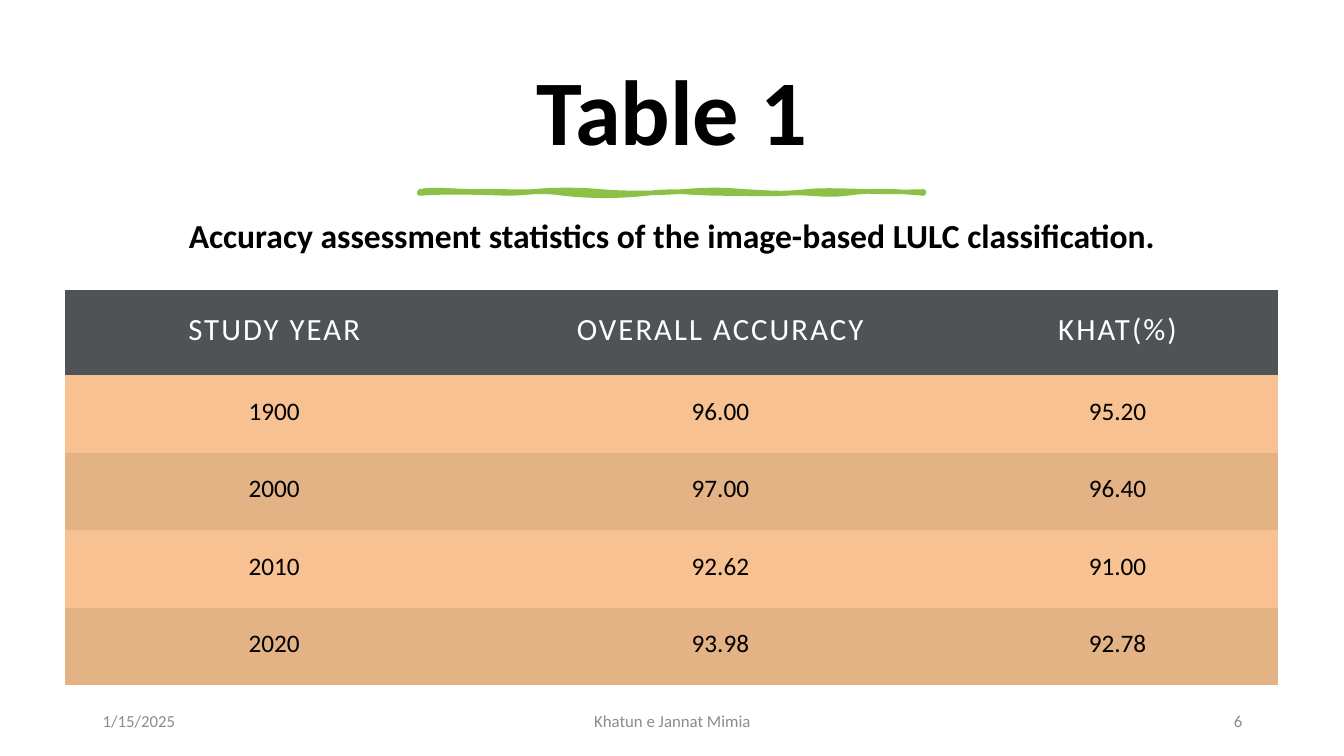
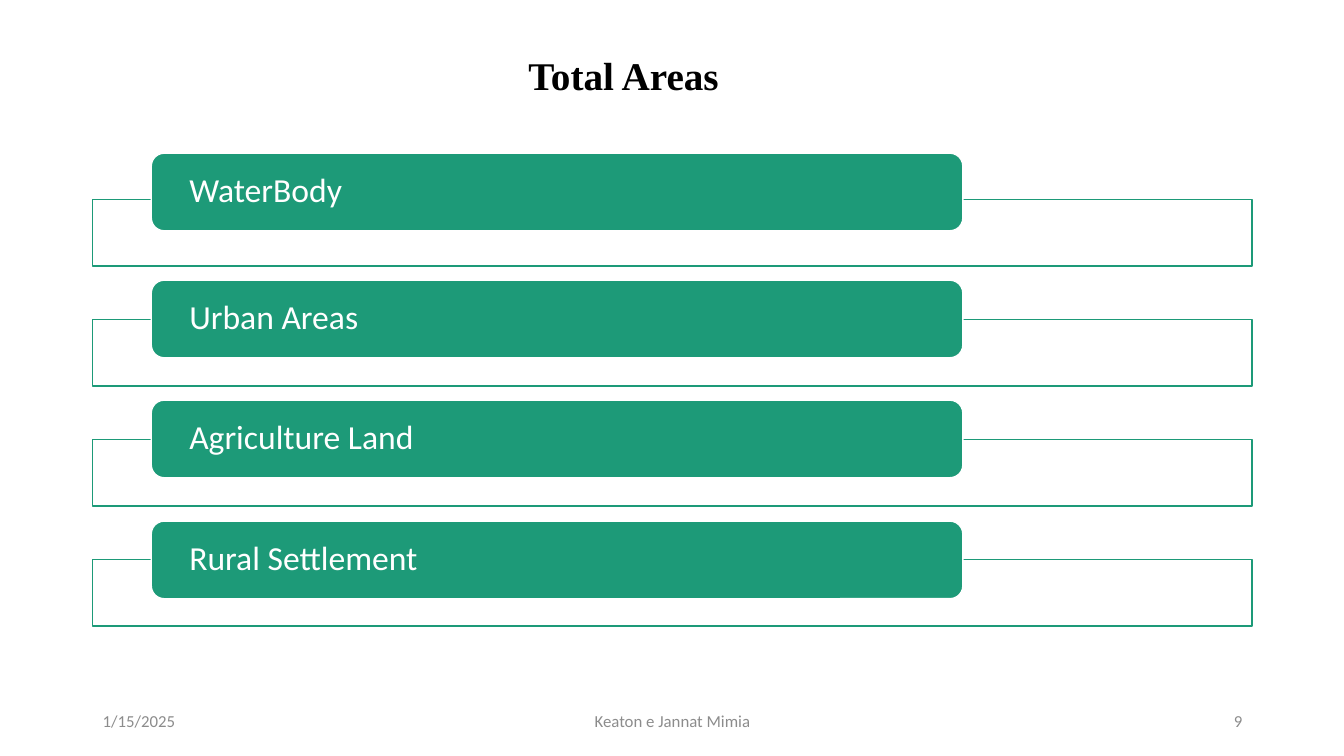
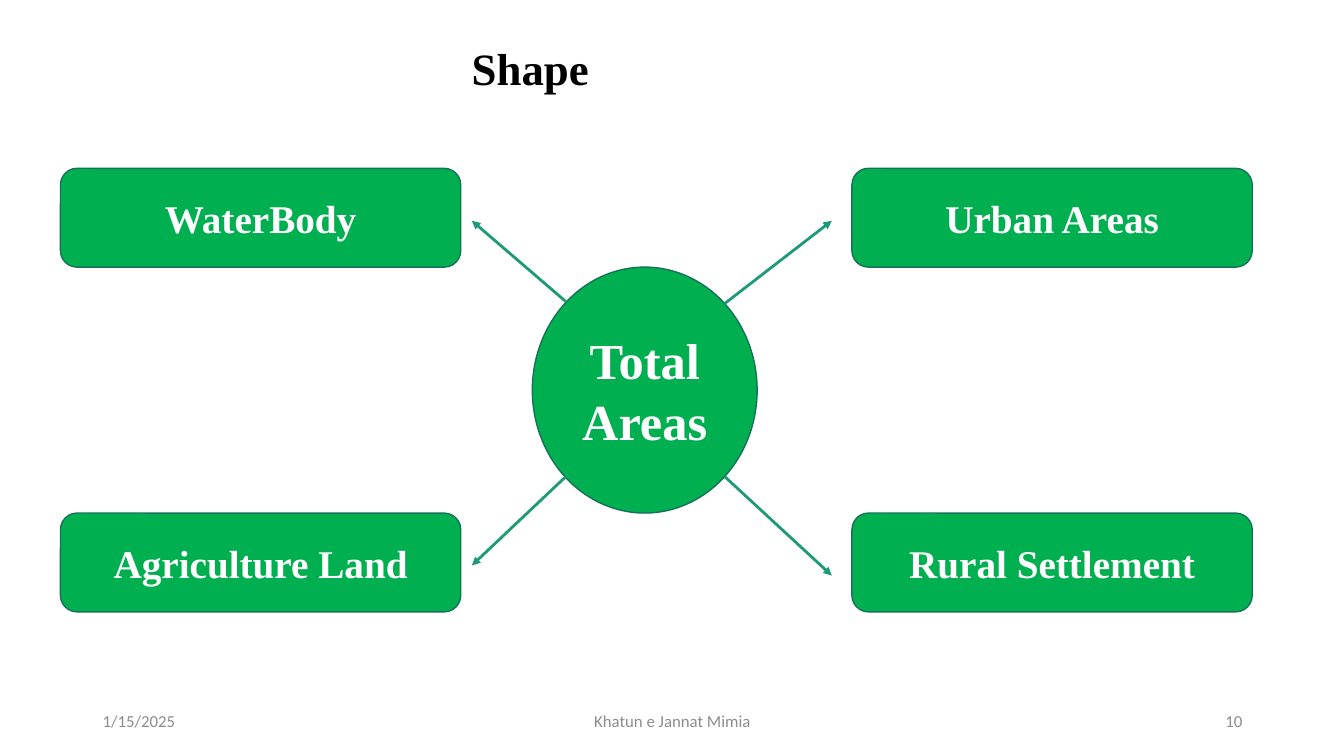
"""Build three slides on land-cover accuracy and area classes."""
from lxml import etree
from pptx import Presentation
from pptx import util as u
from pptx.dml.color import RGBColor
from pptx.enum import shapes, text
from pptx.oxml.ns import qn

BLACK = RGBColor(0x00, 0x00, 0x00)
WHITE = RGBColor(0xFF, 0xFF, 0xFF)
GRAY = RGBColor(0x8C, 0x8C, 0x8C)
SLATE = RGBColor(0x50, 0x53, 0x56)
PEACH = RGBColor(0xF8, 0xC1, 0x92)
TAN = RGBColor(0xE3, 0xB2, 0x85)
LIME = RGBColor(0x8B, 0xC1, 0x45)
TEAL = RGBColor(0x1D, 0x9A, 0x78)
GREEN = RGBColor(0x00, 0xB0, 0x50)
PINE = RGBColor(0x15, 0x72, 0x59)
SANS = "Calibri"
SERIF = "Times New Roman"
LEFT, CENTER, RIGHT = text.PP_ALIGN.LEFT, text.PP_ALIGN.CENTER, text.PP_ALIGN.RIGHT
TOP, MIDDLE = text.MSO_ANCHOR.TOP, text.MSO_ANCHOR.MIDDLE
ROUNDED = shapes.MSO_SHAPE.ROUNDED_RECTANGLE
PLAIN_TABLE = "{2D5ABB26-0587-4C30-8999-92F81FD0307C}"
DATE = "1/15/2025"
AREAS = ["WaterBody", "Urban Areas", "Agriculture Land", "Rural Settlement"]
ACCURACY = [
    ["STUDY YEAR", "OVERALL ACCURACY", "KHAT(%)"],
    ["1900", "96.00", "95.20"],
    ["2000", "97.00", "96.40"],
    ["2010", "92.62", "91.00"],
    ["2020", "93.98", "92.78"],
]
STROKE_START = (4.16, 1.9)
STROKE_CURVES = [
    (4.28, 1.87, 4.54, 1.9, 4.73, 1.9), (4.92, 1.89, 5.09, 1.91, 5.29, 1.9),
    (5.49, 1.88, 5.74, 1.88, 5.96, 1.9), (6.17, 1.92, 6.53, 1.92, 6.77, 1.9),
    (7.02, 1.88, 7.14, 1.88, 7.39, 1.9), (7.63, 1.91, 7.74, 1.93, 8, 1.9),
    (8.26, 1.87, 8.67, 1.92, 9.16, 1.9), (9.17, 1.91, 9.16, 1.91, 9.16, 1.92),
    (8.95, 1.9, 8.65, 1.88, 8.4, 1.92), (8.15, 1.95, 8.01, 1.9, 7.79, 1.92),
    (7.56, 1.93, 7.47, 1.92, 7.17, 1.92), (6.87, 1.92, 6.67, 1.88, 6.41, 1.92),
    (6.14, 1.95, 5.85, 1.95, 5.59, 1.92), (5.34, 1.88, 5.23, 1.92, 5.03, 1.92),
    (4.83, 1.91, 4.38, 1.9, 4.16, 1.92),
]


def curve_points(start, curves, steps=8):
    """Return points in EMU along a chain of cubic curves."""
    points = []
    for x1, y1, x2, y2, x3, y3 in curves:
        for step in range(1, steps + 1):
            t = step / steps
            s = 1 - t
            weights = (s ** 3, 3 * s * s * t, 3 * s * t * t, t ** 3)
            xs, ys = (start[0], x1, x2, x3), (start[1], y1, y2, y3)
            points.append(tuple(
                u.Inches(sum(w * v for w, v in zip(weights, values)))
                for values in (xs, ys)))
        start = (x3, y3)
    return points


class Deck:
    """Hold the presentation, its style and the current slide."""

    def __init__(self):
        self.presentation = Presentation()
        self.presentation.slide_width = u.Inches(13.33)
        self.presentation.slide_height = u.Inches(7.5)
        self.slide = None

    def set_text(self, frame, words, size, color, font=SANS, bold=False,
                 align=CENTER, anchor=MIDDLE, spacing=1.0):
        """Fill a text frame with one formatted paragraph."""
        frame.word_wrap = True
        frame.vertical_anchor = anchor
        paragraph = frame.paragraphs[0]
        paragraph.text = words
        paragraph.alignment = align
        paragraph.line_spacing = spacing
        paragraph.font.size = u.Pt(size)
        paragraph.font.name = font
        paragraph.font.bold = bold
        paragraph.font.color.rgb = color
        return paragraph

    def add_slide(self, title, box, size, number, author="Khatun e Jannat Mimia",
                  font=SERIF, anchor=TOP, spacing=1.0):
        """Start a slide with its title and footer."""
        self.slide = self.presentation.slides.add_slide(
            self.presentation.slide_layouts[5])
        holder = self.slide.shapes.title
        holder.left, holder.top, holder.width, holder.height = map(u.Inches, box)
        holder.text_frame.auto_size = text.MSO_AUTO_SIZE.NONE
        self.set_text(holder.text_frame, title, size, BLACK, font, True,
                      anchor=anchor, spacing=spacing)
        for left, width, words, align in [(0.92, 3, DATE, LEFT),
                                          (4.42, 4.5, author, CENTER),
                                          (9.42, 3, str(number), RIGHT)]:
            self.add_text((left, 6.95, width, 0.4), words, 12, GRAY, align=align)

    def add_text(self, box, words, size, color, **style):
        """Add a text box."""
        shape = self.slide.shapes.add_textbox(*map(u.Inches, box))
        self.set_text(shape.text_frame, words, size, color, **style)

    def paint(self, shape, fill, line, width=1):
        """Give a shape its fill and outline without a shadow."""
        shape.shadow.inherit = False
        shape.fill.solid()
        shape.fill.fore_color.rgb = fill
        shape.line.color.rgb = line
        shape.line.width = u.Pt(width)

    def add_shape(self, kind, box, fill, line):
        """Add a preset shape and return it."""
        shape = self.slide.shapes.add_shape(kind, *map(u.Inches, box))
        self.paint(shape, fill, line)
        return shape

    def add_brush_stroke(self):
        """Draw the wavy rule under a title."""
        builder = self.slide.shapes.build_freeform(*map(u.Inches, STROKE_START))
        builder.add_line_segments(curve_points(STROKE_START, STROKE_CURVES))
        self.paint(builder.convert_to_shape(), LIME, LIME, 3.25)

    def add_table(self, box, rows, widths, heights):
        """Add a table with a dark header and banded rows."""
        table = self.slide.shapes.add_table(
            len(rows), len(widths), *map(u.Inches, box)).table
        table._tbl.tblPr.find(qn("a:tableStyleId")).text = PLAIN_TABLE
        for column, width in zip(table.columns, widths):
            column.width = u.Inches(width)
        for index, (row, height) in enumerate(zip(rows, heights)):
            table.rows[index].height = u.Inches(height)
            header = index == 0
            fill = SLATE if header else PEACH if index % 2 else TAN
            for cell, words in zip(table.rows[index].cells, row):
                cell.fill.solid()
                cell.fill.fore_color.rgb = fill
                cell.margin_left = cell.margin_right = u.Inches(0.21)
                cell.margin_top = cell.margin_bottom = u.Inches(0.21)
                paragraph = self.set_text(
                    cell.text_frame, words, 22 if header else 18,
                    WHITE if header else BLACK, anchor=TOP)
                if header:
                    paragraph.runs[0]._r.get_or_add_rPr().set("spc", "150")

    def add_arrow(self, start, end):
        """Draw a straight arrow."""
        connector = self.slide.shapes.add_connector(
            shapes.MSO_CONNECTOR.STRAIGHT, *map(u.Inches, start + end))
        connector.line.color.rgb = TEAL
        connector.line.width = u.Pt(2)
        properties = connector._element.spPr
        etree.SubElement(properties.find(qn("a:ln")), qn("a:tailEnd"), type="triangle")
        etree.SubElement(properties, qn("a:effectLst"))


def accuracy_slide(deck):
    """Show the accuracy table."""
    deck.add_slide("Table 1", (0.7, 0.46, 11.93, 1.37), 66, 6, font=SANS,
                   anchor=MIDDLE, spacing=0.9)
    deck.add_text(
        (0.7, 1.98, 11.93, 0.75),
        "Accuracy assessment statistics of the image-based LULC classification.",
        24, BLACK, bold=True, spacing=0.9)
    deck.add_brush_stroke()
    deck.add_table((0.64, 2.88, 12.04, 3.92), ACCURACY, [4.16, 4.69, 3.19],
                   [0.84] + [0.77] * 4)


def area_list_slide(deck):
    """List the area classes as labelled frames."""
    deck.add_slide("Total Areas", (1.65, 0.46, 9.07, 0.57), 28, 9,
                   author="Keaton e Jannat Mimia")
    for index, (area, bar_top) in enumerate(zip(AREAS, [1.52, 2.78, 3.97, 5.17])):
        deck.add_shape(shapes.MSO_SHAPE.RECTANGLE,
                       (0.92, 1.98 + 1.19 * index, 11.5, 0.66), WHITE, TEAL)
        bar = deck.add_shape(ROUNDED, (1.5, bar_top, 8.05, 0.77), TEAL, WHITE)
        bar.text_frame.margin_left = u.Inches(0.34)
        deck.set_text(bar.text_frame, area, 24, WHITE, align=LEFT, spacing=0.9)


def area_map_slide(deck):
    """Show the area classes around their total."""
    deck.add_slide("Shape", (1.99, 0.35, 6.54, 0.64), 32, 10)
    for index, area in enumerate(AREAS):
        row, column = divmod(index, 2)
        box = deck.add_shape(
            ROUNDED, (0.6 + 7.85 * column, 1.67 + 3.42 * row, 3.97, 0.98),
            GREEN, PINE)
        deck.set_text(box.text_frame, area, 28, WHITE, SERIF, True)
    hub = deck.add_shape(shapes.MSO_SHAPE.OVAL, (5.28, 2.65, 2.23, 2.44), GREEN, PINE)
    deck.set_text(hub.text_frame, "Total Areas", 36, WHITE, SERIF, True)
    for start, end in [((7.19, 3.01), (8.25, 2.19)), ((5.61, 2.99), (4.68, 2.19)),
                       ((5.61, 4.73), (4.68, 5.61)), ((7.19, 4.73), (8.25, 5.71))]:
        deck.add_arrow(start, end)


def main():
    """Build and save the slides."""
    deck = Deck()
    accuracy_slide(deck)
    area_list_slide(deck)
    area_map_slide(deck)
    deck.presentation.save("out.pptx")


if __name__ == "__main__":
    main()
